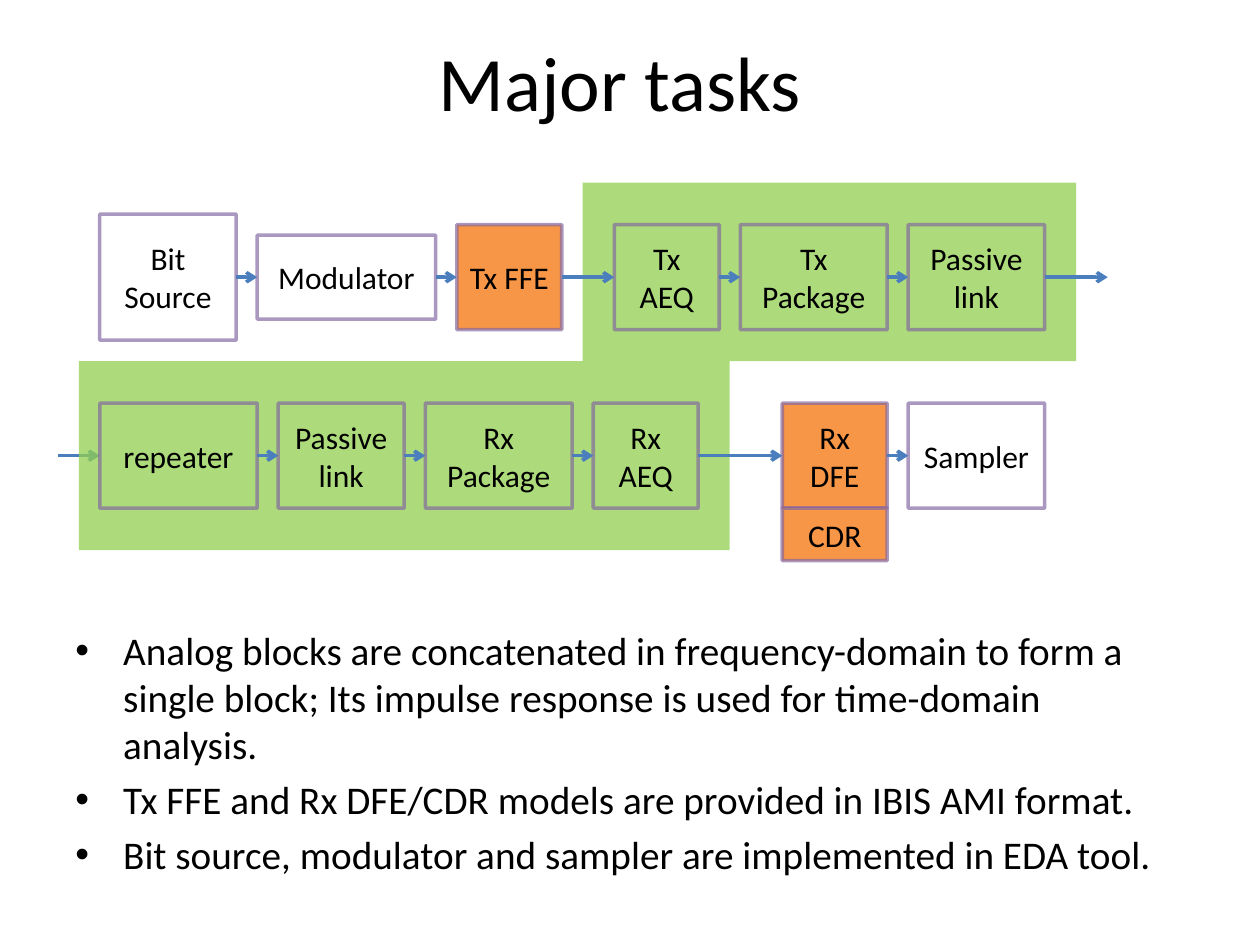
from lxml.etree import SubElement
from pptx import Presentation
from pptx.dml.color import RGBColor
from pptx.enum.shapes import MSO_CONNECTOR, MSO_SHAPE
from pptx.enum.text import MSO_ANCHOR, PP_ALIGN
from pptx.oxml.ns import qn
from pptx.util import Inches, Pt

COLORS = {"text": "000000", "analog": "92D050", "ami": "F79646",
          "border": "8064A2", "arrow": "4B7EBC"}
FONT = "Calibri"
TITLE = "Major tasks"
BULLETS = [
    "Analog blocks are concatenated in frequency-domain to form a single block; "
    "Its impulse response is used for time-domain analysis.",
    "Tx FFE and Rx DFE/CDR models are provided in IBIS AMI format.",
    "Bit source, modulator and sampler are implemented in EDA tool.",
]

# The diagram is laid out in grid units of 1/12 inch.
UNIT = Inches(1 / 12)
CHAIN_LEFT = 9.5
ROW_CENTERS = (26.4, 43.4)
BAND_RISE = 9  # from a row's centre up to the top of its band
BANDS = [(1, 7.5, 62, 18), (0, 55.5, 47, 17)]  # row, left, width, height
# label, gap before, width, height, fill
CHAINS = [
    [("Bit Source", 0, 13, 12, None), ("Modulator", 2, 17, 8, None),
     ("Tx FFE", 2, 10, 10, "ami"), ("Tx AEQ", 5, 10, 10, None),
     ("Tx Package", 2, 14, 10, None), ("Passive link", 2, 13, 10, None)],
    [("repeater", 0, 15, 10, None), ("Passive link", 2, 12, 10, None),
     ("Rx Package", 2, 14, 10, None), ("Rx AEQ", 2, 10, 10, None),
     ("Rx DFE", 8, 10, 10, "ami"), ("Sampler", 2, 13, 10, None)],
]
CDR = ("CDR", 5)  # label, height; sits under Rx DFE
INPUT_LENGTH, OUTPUT_LENGTH = 4, 6


def units(*values):
    return [round(value * UNIT) for value in values]


def rgb(name):
    return RGBColor.from_string(COLORS[name])


def add_run(paragraph, text, size):
    run = paragraph.add_run()
    run.text = text
    run.font.name, run.font.size = FONT, Pt(size)
    run.font.color.rgb = rgb("text")


def set_alpha(fill, percent):
    """Make a solid fill, of a shape or of its line, partly transparent."""
    color = fill._xPr.find(qn("a:solidFill"))[0]
    SubElement(color, qn("a:alpha"), val=str(percent * 1000))


def add_rect(slide, left, top, width, height, fill):
    rect = slide.shapes.add_shape(MSO_SHAPE.RECTANGLE,
                                  *units(left, top, width, height))
    rect.shadow.inherit = False
    if fill:
        rect.fill.solid()
        rect.fill.fore_color.rgb = rgb(fill)
    else:
        rect.fill.background()
    return rect


def add_band(slide, row, left, width, height):
    band = add_rect(slide, left, ROW_CENTERS[row] - BAND_RISE, width, height, "analog")
    set_alpha(band.fill, 75)
    band.line.fill.background()


def add_block(slide, label, left, top, width, height, fill):
    block = add_rect(slide, left, top, width, height, fill)
    block.line.color.rgb = rgb("border")
    block.line.width = Pt(2)
    set_alpha(block.line.fill, 65)
    frame = block.text_frame
    frame.word_wrap = True
    frame.vertical_anchor = MSO_ANCHOR.MIDDLE
    frame.paragraphs[0].alignment = PP_ALIGN.CENTER
    add_run(frame.paragraphs[0], label, 18)
    return block


def add_arrow(slide, start, end, y, source=None, target=None):
    x1, x2, y = units(start, end, y)
    arrow = slide.shapes.add_connector(MSO_CONNECTOR.STRAIGHT, x1, y, x2, y)
    if source is not None:
        arrow.begin_connect(source, 3)
    if target is not None:
        arrow.end_connect(target, 1)
    arrow.line.color.rgb = rgb("arrow")
    arrow.line.width = Pt(2)
    SubElement(arrow.line._get_or_add_ln(), qn("a:tailEnd"), type="arrow")
    SubElement(arrow._element.spPr, qn("a:effectLst"))
    return arrow


def add_chain(slide, chain, center):
    """Place one row of blocks joined by arrows; return blocks and right edge."""
    blocks, right = [], CHAIN_LEFT
    for label, gap, width, height, fill in chain:
        left = right + gap
        block = add_block(slide, label, left, center - height / 2, width, height, fill)
        if blocks:
            add_arrow(slide, right, left, center, blocks[-1], block)
        blocks.append(block)
        right = left + width
    return blocks, right


def add_title(slide):
    title = slide.shapes.title
    title.left, title.top, title.width, title.height = map(Inches, (0.42, 0.08, 9, 1.12))
    title.text_frame.vertical_anchor = MSO_ANCHOR.MIDDLE
    title.text_frame.paragraphs[0].alignment = PP_ALIGN.CENTER
    add_run(title.text_frame.paragraphs[0], TITLE, 44)


def add_bullets(slide):
    frame = slide.shapes.add_textbox(*map(Inches, (0.5, 4.92, 9, 2.28))).text_frame
    frame.word_wrap = True
    for index, bullet in enumerate(BULLETS):
        paragraph = frame.add_paragraph() if index else frame.paragraphs[0]
        properties = paragraph._p.get_or_add_pPr()
        properties.set("marL", str(Inches(0.38)))
        properties.set("indent", str(-Inches(0.38)))
        before = SubElement(properties, qn("a:spcBef"))
        SubElement(before, qn("a:spcPct"), val="20000")
        SubElement(properties, qn("a:buFont"), typeface="Arial")
        SubElement(properties, qn("a:buChar"), char="•")
        add_run(paragraph, bullet, 22.4)


def main():
    presentation = Presentation()
    presentation.slide_width, presentation.slide_height = Inches(10), Inches(7.5)
    slide = presentation.slides.add_slide(presentation.slide_layouts[5])
    add_title(slide)
    add_bullets(slide)

    upper, lower = ROW_CENTERS
    incoming = add_arrow(slide, CHAIN_LEFT - INPUT_LENGTH, CHAIN_LEFT, lower)
    for band in BANDS:
        add_band(slide, *band)
    upper_blocks, upper_right = add_chain(slide, CHAINS[0], upper)
    lower_blocks, _ = add_chain(slide, CHAINS[1], lower)
    incoming.end_connect(lower_blocks[0], 1)
    add_arrow(slide, upper_right, upper_right + OUTPUT_LENGTH, upper, upper_blocks[-1])

    dfe = lower_blocks[4]
    label, height = CDR
    add_block(slide, label, dfe.left / UNIT, (dfe.top + dfe.height) / UNIT,
              dfe.width / UNIT, height, "ami")
    presentation.save("out.pptx")


if __name__ == "__main__":
    main()
